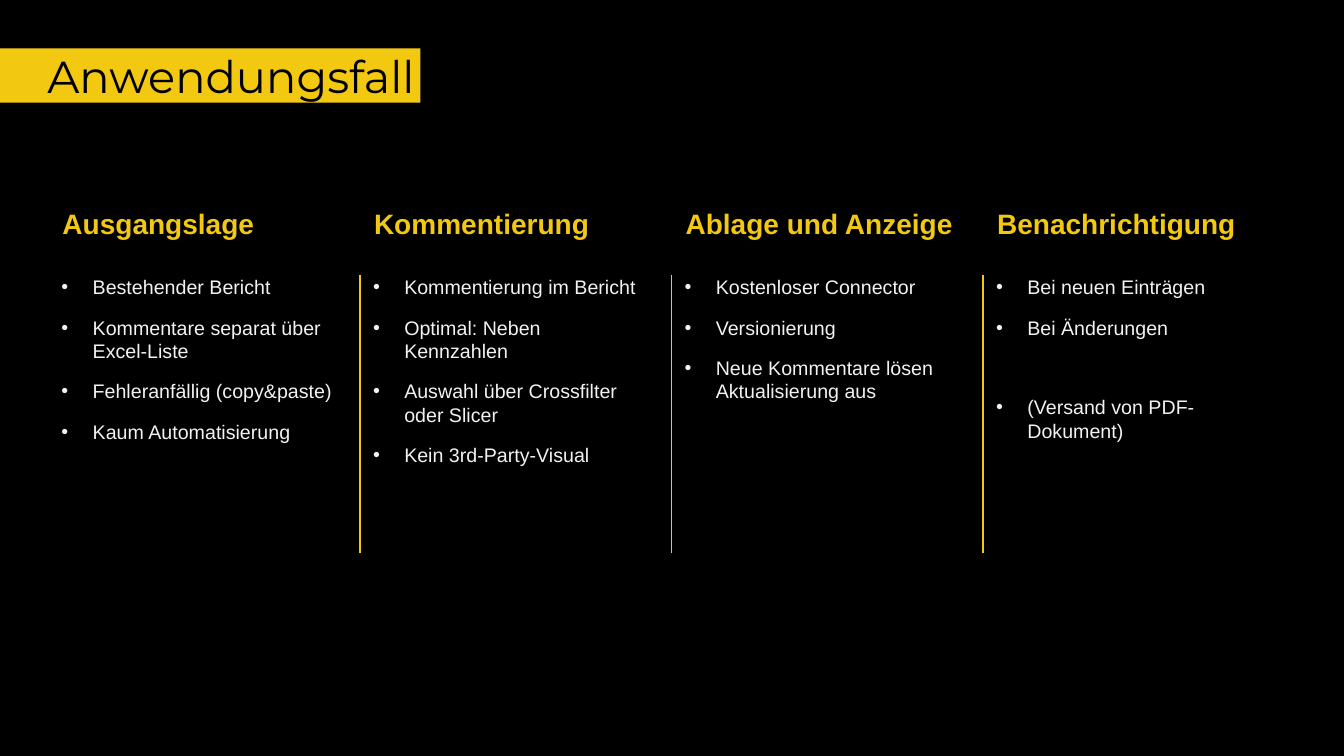
from lxml import etree
from pptx import Presentation
from pptx.dml.color import RGBColor
from pptx.enum import shapes, text
from pptx.oxml.ns import qn
from pptx.util import Inches, Pt

YELLOW, BLACK, LIGHT = "F2C811", "000000", "F2F2F2"
FIRST_LEFT, COLUMN_STEP, COLUMN_WIDTH = 0.61, 3.09, 2.83
HEADING_TOP, LIST_TOP, DIVIDER_BOTTOM = 2.04, 2.73, 5.49
DIVIDER_OFFSET = 0.13
INDENT = 0.31

# Heading, then bullets; a bullet may carry its own space before, in points
COLUMNS = [
    ("Ausgangslage", [
        ("Bestehender Bericht", 0),
        ("Kommentare separat über Excel-Liste", 0),
        ("Fehleranfällig (copy&paste)", 0),
        ("Kaum Automatisierung", 0),
    ]),
    ("Kommentierung", [
        ("Kommentierung im Bericht", 0),
        ("Optimal: Neben Kennzahlen", 0),
        ("Auswahl über Crossfilter oder Slicer", 0),
        ("Kein 3rd-Party-Visual", 0),
    ]),
    ("Ablage und Anzeige", [
        ("Kostenloser Connector", 0),
        ("Versionierung", 0),
        ("Neue Kommentare lösen Aktualisierung aus", 0),
    ]),
    ("Benachrichtigung", [
        ("Bei neuen Einträgen", 0),
        ("Bei Änderungen", 0),
        ("(Versand von PDF-Dokument)", 28),
    ]),
]


def color(value):
    return RGBColor.from_string(value)


def write(paragraph, content, *, size, fill, font="Arial", bold=False,
          before=0, after=0, indent=0, bullet=False):
    paragraph.alignment = text.PP_ALIGN.LEFT
    paragraph.space_before, paragraph.space_after = Pt(before), Pt(after)
    run = paragraph.add_run()
    run.text = content
    run.font.name, run.font.size, run.font.bold = font, Pt(size), bold
    run.font.color.rgb = color(fill)
    properties = paragraph._p.get_or_add_pPr()
    properties.set("marL", str(Inches(indent)))
    if bullet:
        properties.set("indent", str(-Inches(indent)))
        etree.SubElement(properties, qn("a:buFont")).set("typeface", "Arial")
        etree.SubElement(properties, qn("a:buChar")).set("char", "•")


def set_frame(frame, *, inset_left=0, inset_top=0, inset_right=0,
              inset_bottom=0, wrap=True):
    frame.margin_left, frame.margin_top = Inches(inset_left), Inches(inset_top)
    frame.margin_right = Inches(inset_right)
    frame.margin_bottom = Inches(inset_bottom)
    frame.word_wrap = wrap


def add_text_box(slide, left, top, width, height, **insets):
    box = slide.shapes.add_textbox(
        Inches(left), Inches(top), Inches(width), Inches(height))
    set_frame(box.text_frame, **insets)
    return box.text_frame


def add_title(slide, content):
    bar = slide.shapes.add_shape(
        shapes.MSO_SHAPE.RECTANGLE, 0, Inches(0.48), Inches(4.17), Inches(0.54))
    bar.shadow.inherit = False
    bar.fill.solid()
    bar.fill.fore_color.rgb = color(YELLOW)
    bar.line.fill.background()
    set_frame(bar.text_frame, inset_left=0.47, wrap=False)
    bar.text_frame.vertical_anchor = text.MSO_ANCHOR.MIDDLE
    write(bar.text_frame.paragraphs[0], content,
          size=32, fill=BLACK, font="Montserrat")


def add_column(slide, left, heading, bullets):
    frame = add_text_box(slide, left, HEADING_TOP, COLUMN_WIDTH, 0.35,
                         inset_top=0.01)
    write(frame.paragraphs[0], heading, size=20, fill=YELLOW, bold=True,
          before=1, indent=0.01)

    frame = add_text_box(slide, left, LIST_TOP, COLUMN_WIDTH, 2.99,
                         inset_right=0.1, inset_bottom=0.05)
    for index, (content, before) in enumerate(bullets):
        paragraph = frame.add_paragraph() if index else frame.paragraphs[0]
        write(paragraph, content, size=14, fill=LIGHT, before=before, after=12,
              indent=INDENT, bullet=True)


def add_divider(slide, x):
    line = slide.shapes.add_connector(
        shapes.MSO_CONNECTOR.STRAIGHT,
        Inches(x), Inches(LIST_TOP), Inches(x), Inches(DIVIDER_BOTTOM))
    line.line.color.rgb = color(YELLOW)
    line.line.width = Pt(1)
    etree.SubElement(line._element.spPr, qn("a:effectLst"))


def main():
    presentation = Presentation()
    presentation.slide_width = Inches(13.33)
    presentation.slide_height = Inches(7.5)
    slide = presentation.slides.add_slide(presentation.slide_layouts[6])
    slide.background.fill.solid()
    slide.background.fill.fore_color.rgb = color(BLACK)

    add_title(slide, "Anwendungsfall")

    # Four columns with a divider before each but the first
    for index, (heading, bullets) in enumerate(COLUMNS):
        left = FIRST_LEFT + index * COLUMN_STEP
        add_column(slide, left, heading, bullets)
        if index:
            add_divider(slide, left - DIVIDER_OFFSET)

    presentation.save("out.pptx")


if __name__ == "__main__":
    main()
